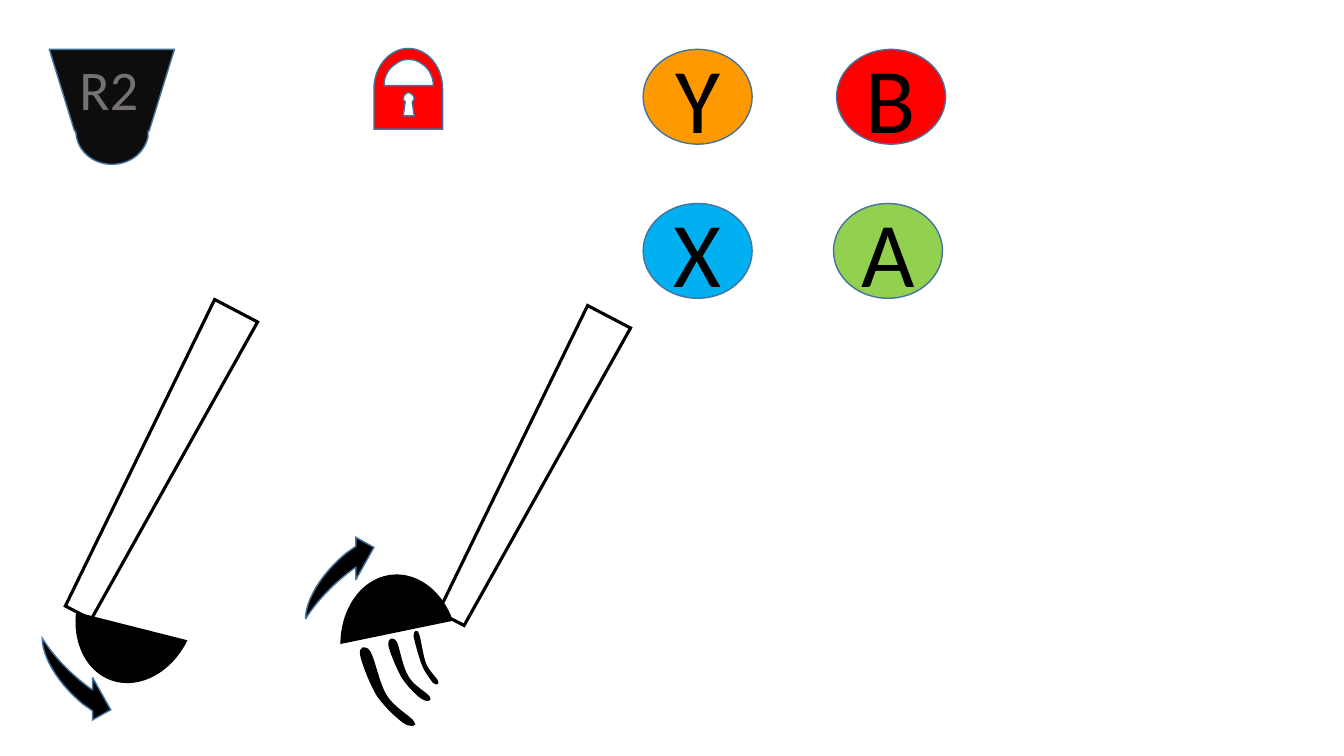
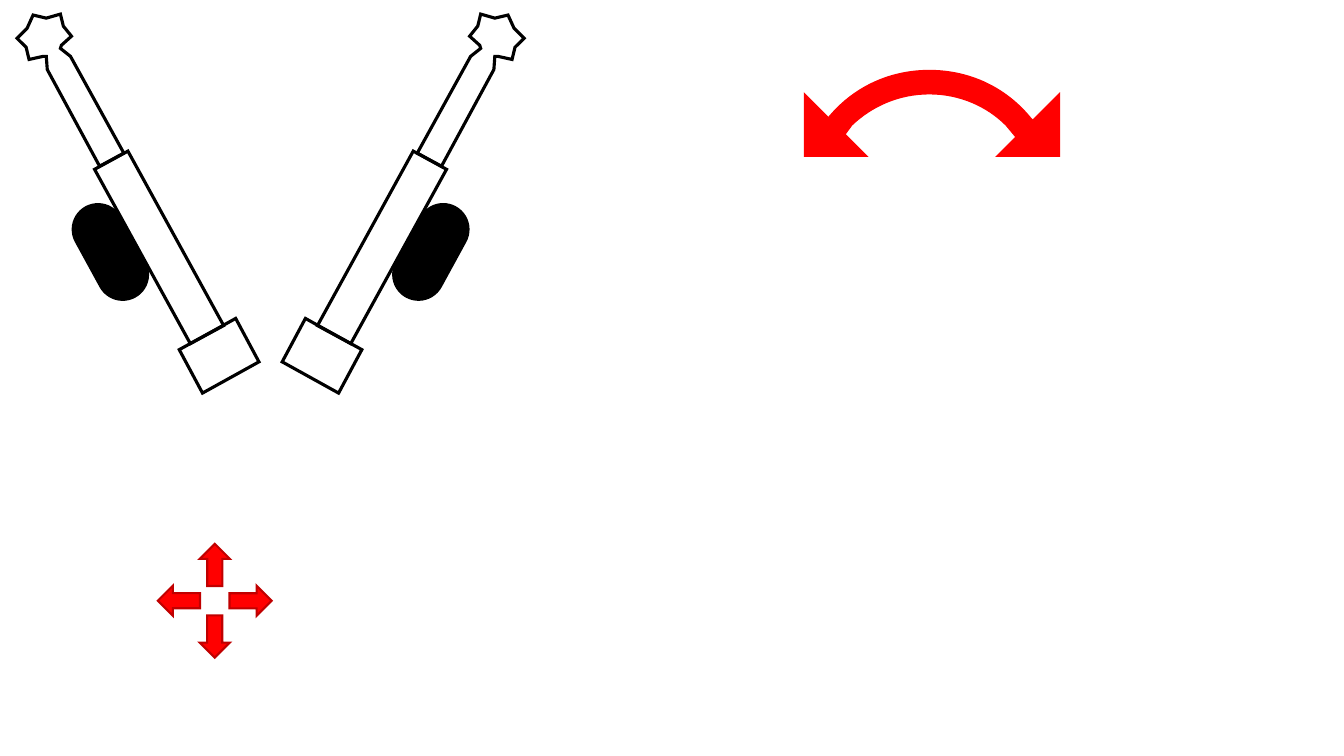
"""Build two slides of control buttons and machine drawings."""
from dataclasses import dataclass
from math import cos, radians, sin

from pptx import Presentation
from pptx.dml.color import RGBColor
from pptx.enum import shapes as kinds, text as tx
from pptx.oxml import ns, xmlchemy as xml
from pptx.util import Pt

KIND = kinds.MSO_SHAPE


@dataclass(frozen=True)
class Theme:
    """Colours, font, type sizes and line widths."""
    black: str = "000000"
    white: str = "FFFFFF"
    red: str = "FF0000"
    maroon: str = "C00000"
    blue: str = "00B0F0"
    green: str = "92D050"
    orange: str = "FF9900"
    edge: str = "43739E"
    coal: str = "0D0D0D"
    grey: str = "767171"
    font: str = "Calibri"
    big: float = 66
    mid: float = 40
    thin: float = 1
    bold: float = 2.25


T = Theme()

TRIGGER = [[(35.3, 35.3), (124.6, 35.3), (106.6, 93.6), (105.8, 93.6), (105.8, 97.9),
            (103, 109.4, 92.9, 117.4, 79.9, 117.4),
            (67.7, 117.4, 56.9, 109.4, 54.7, 97.9), (54, 93.6), (53.3, 93.6)]]
LOCK = [
    [(291.6, 66.2), (290.2, 66.2, 288, 68.4, 288, 70.6),
     (288, 71.3, 288.7, 72, 289.4, 72.7), (289.4, 73.4), (288, 82.8), (295.9, 82.8),
     (294.5, 73.4), (294.5, 72.7), (295.2, 72, 295.9, 71.3, 295.9, 70.6),
     (295.9, 68.4, 293.8, 66.2, 291.6, 66.2)],
    [(291.6, 42.5), (288.7, 42.5, 285.8, 43.2, 283, 45.4),
     (277.2, 49, 274.3, 54.7, 274.3, 61.2), (286, 61.2, 298, 61.2, 309.6, 61.2),
     (309.6, 54.7, 306, 48.2, 301, 45.4), (298.1, 43.2, 295.2, 42.5, 291.6, 42.5)],
    [(291.6, 34.6), (305.3, 34.6, 316.1, 47.5, 316.1, 63.4), (316.1, 92.2),
     (267.1, 92.2), (267.1, 63.4), (267.1, 47.5, 278.6, 34.6, 291.6, 34.6)],
]
DROPS = [
    [(257.8, 468), (258.5, 473, 265, 489.6, 270, 497.5),
     (275.8, 505.4, 284.4, 513.4, 288.7, 516.2), (293, 519.1, 298.1, 518.4, 295.2, 515.5),
     (293, 511.9, 280.8, 505.4, 275.8, 496.8), (270.7, 488.9, 267.1, 470.2, 264.2, 465.8),
     (261.4, 460.8, 256.3, 462.2, 257.8, 468)],
    [(277.9, 460.8), (278.6, 465.1, 283.7, 477.4, 287.3, 483.8),
     (291.6, 490.3, 298.1, 496.8, 301.7, 499), (304.6, 501.1, 308.2, 500.4, 306.7, 498.2),
     (305.3, 495.4, 295.2, 490.3, 291.6, 483.8), (287.3, 477.4, 285.1, 463, 283, 458.6),
     (280.8, 455, 277.2, 456.5, 277.9, 460.8)],
    [(295.9, 454.3), (296.6, 457.9, 299.5, 468.7, 301.7, 474.5),
     (303.8, 480.2, 308.2, 485.3, 309.6, 487.4), (311.8, 488.9, 313.2, 488.9, 312.5, 486.7),
     (311.8, 484.6, 306, 479.5, 303.8, 473.8), (301.7, 468.7, 300.2, 455.8, 298.8, 452.9),
     (298.1, 450, 295.9, 450.7, 295.9, 454.3)],
]
SWING = [[(267.1, 391), (254.2, 414), (254.2, 405.4), (252.7, 406.1),
          (239, 416.2, 226.8, 428.4, 218.2, 442.1),
          (218.2, 428.4, 229.7, 409.7, 247, 395.3), (254.2, 390.2), (254.2, 383.8)]]
ARM = [
    [(258.5, 249.8), (218.2, 227.5), (201.6, 258.5), (241.9, 280.8)],
    [(319, 121), (295.2, 108), (226.8, 232.6), (250.6, 245.5)],
    [(362.9, 10.8), (353.5, 13), (343.4, 10.1), (341.3, 18.7), (335.5, 25.9),
     (342.7, 32.4), (343.4, 34.6), (336.2, 40.3), (298.1, 109.4), (315.4, 118.8),
     (352.8, 49.7), (353.5, 40.3), (355.7, 40.3), (365.8, 42.5), (367.9, 33.8),
     (374.4, 27.4), (367.2, 20.2)],
]
ARC = [[(663.8, 50.4), (693.4, 50.4, 719.3, 63.4, 736.6, 85), (738, 86.4),
        (725.8, 97.9), (718.6, 89.3), (704.9, 75.6, 685.4, 67, 663.8, 67),
        (642.2, 67, 622.8, 75.6, 608.4, 89.3), (602.6, 97.2), (590.4, 85),
        (591.1, 85), (608.4, 63.4, 634.3, 50.4, 663.8, 50.4)]]


def paint(shape, fill, line, width):
    """Set fill and sharp-cornered outline and drop the shadow."""
    shape.shadow.inherit = False
    shape.fill.solid()
    shape.fill.fore_color.rgb = RGBColor.from_string(fill)
    shape.line.color.rgb = RGBColor.from_string(line)
    shape.line.width = Pt(width)
    miter = xml.OxmlElement("a:miter")
    miter.set("lim", "800000")
    shape.line._get_or_add_ln().append(miter)
    return shape


def write(shape, words, size=T.mid, color=T.black, align=None, anchor=None):
    """Put formatted text into a shape."""
    frame = shape.text_frame
    frame.word_wrap = True
    frame.vertical_anchor = anchor
    para = frame.paragraphs[0]
    para.alignment = align
    run = para.add_run()
    run.text = words
    run.font.size = Pt(size)
    run.font.name = T.font
    run.font.color.rgb = RGBColor.from_string(color)


def preset(tree, kind, box, fill=T.black, line=T.black, width=T.thin, turn=0, adj=()):
    """Add a preset shape in a box of left, top, width and height."""
    shape = tree.add_shape(kind, *map(Pt, box))
    for i, value in enumerate(adj):
        shape.adjustments[i] = value
    shape.rotation = turn
    return paint(shape, fill, line, width)


def bend(shape, loops):
    """Join the three lines of each six-number segment into one cubic curve."""
    lines = iter(list(shape._element.iter(ns.qn("a:lnTo"))))
    for loop in loops:
        for seg in loop[1:]:
            legs = [next(lines) for _ in range(len(seg) // 2)]
            if len(legs) == 1:
                continue
            curve = xml.OxmlElement("a:cubicBezTo")
            legs[0].addprevious(curve)
            for leg in legs:
                curve.append(leg[0])
                leg.getparent().remove(leg)


def outline(tree, loops, fill=T.black, line=T.black, width=T.thin, move=(0, 0), flip=(1, 1)):
    """Add a closed outline, mirrored by flip and then shifted by move."""
    pen = None
    for loop in loops:
        dots = [tuple(Pt(f * v + m) for f, v, m in zip(flip, seg[i:i + 2], move))
                for seg in loop for i in range(0, len(seg), 2)]
        if pen is None:
            pen = tree.build_freeform(*dots[0], scale=1.0)
        else:
            pen.move_to(*dots[0])
        pen.add_line_segments(dots[1:], close=True)
    shape = pen.convert_to_shape()
    bend(shape, loops)
    return paint(shape, fill, line, width)


def group(tree):
    """Start a group and return its shapes."""
    return tree.add_group_shape().shapes


def button(tree, words, left, top, fill):
    """Add a round lettered button."""
    shape = preset(tree, KIND.OVAL, (left, top, 77.8, 67.7), fill, T.edge)
    write(shape, words, size=T.big, align=tx.PP_ALIGN.CENTER, anchor=tx.MSO_ANCHOR.MIDDLE)


def scoop(tree, stick, bowl, turn, drops=(), **place):
    """Add a stick with a bowl, its drops and the arrow of its swing."""
    preset(tree, KIND.FLOWCHART_MANUAL_OPERATION, (*stick, 34.6, 243.4), T.white,
           width=T.bold, turn=27.6)
    preset(tree, KIND.CHORD, (*bowl, 103.7, 82.8), turn=turn, adj=(60.015, 148.994))
    for drop in drops:
        outline(tree, [drop])
    outline(tree, SWING, line=T.edge, **place)


def boom(tree, left, turn, **place):
    """Add a jointed arm with its wheel."""
    outline(tree, ARM, T.white, width=T.bold, **place)
    preset(tree, KIND.ROUNDED_RECTANGLE, (left, 143.3, 36.7, 73.4), turn=turn, adj=(0.5,))


def controls(tree):
    """Draw the buttons, the lock and the two scoops."""
    button(tree, "X", 459.4, 145.4, T.blue)
    button(tree, "A", 595.4, 145.4, T.green)
    button(tree, "Y", 459.4, 35.3, T.orange)
    button(tree, "B", 597.6, 35.3, T.red)
    part = group(tree)
    outline(part, TRIGGER, T.coal, T.edge)
    label = part.add_textbox(Pt(49.7), Pt(35.3), Pt(70.6), Pt(55.4))
    write(label, "R2", color=T.grey)
    outline(tree, LOCK, T.red, T.edge)
    scoop(group(tree), (361.4, 212.4), (233.3, 421.2), 84.3, DROPS)
    scoop(group(tree), (95, 208.1), (45.4, 395.3), 290.2, move=(-188, 898), flip=(1, -1))


def arms(tree):
    """Draw the mirrored arms and the direction arrows."""
    boom(group(tree), 289.4, 28.7)
    boom(group(tree), 60.5, 331.3, move=(386.6, 0), flip=(-1, 1))
    part = group(tree)
    wide, high, reach = 21.6, 30.2, 25.6
    for turn in (0, 180, 270, 90):
        mid = 153.4 - reach * sin(radians(turn))
        row = 429.1 + reach * cos(radians(turn))
        preset(part, KIND.DOWN_ARROW, (mid - wide / 2, row - high / 2, wide, high),
               T.red, T.maroon, 1.5, turn)
    part = group(tree)
    outline(part, ARC, T.red, T.red)
    for left, turn in ((574.6, 0), (712.1, 270)):
        preset(part, KIND.RIGHT_TRIANGLE, (left, 67, 44.6, 44.6), T.red, T.red, turn=turn)


def main():
    """Build and save the slides."""
    deck = Presentation()
    deck.slide_width, deck.slide_height = Pt(960), Pt(540)
    for draw in (controls, arms):
        draw(deck.slides.add_slide(deck.slide_layouts[6]).shapes)
    deck.save("out.pptx")


if __name__ == "__main__":
    main()
